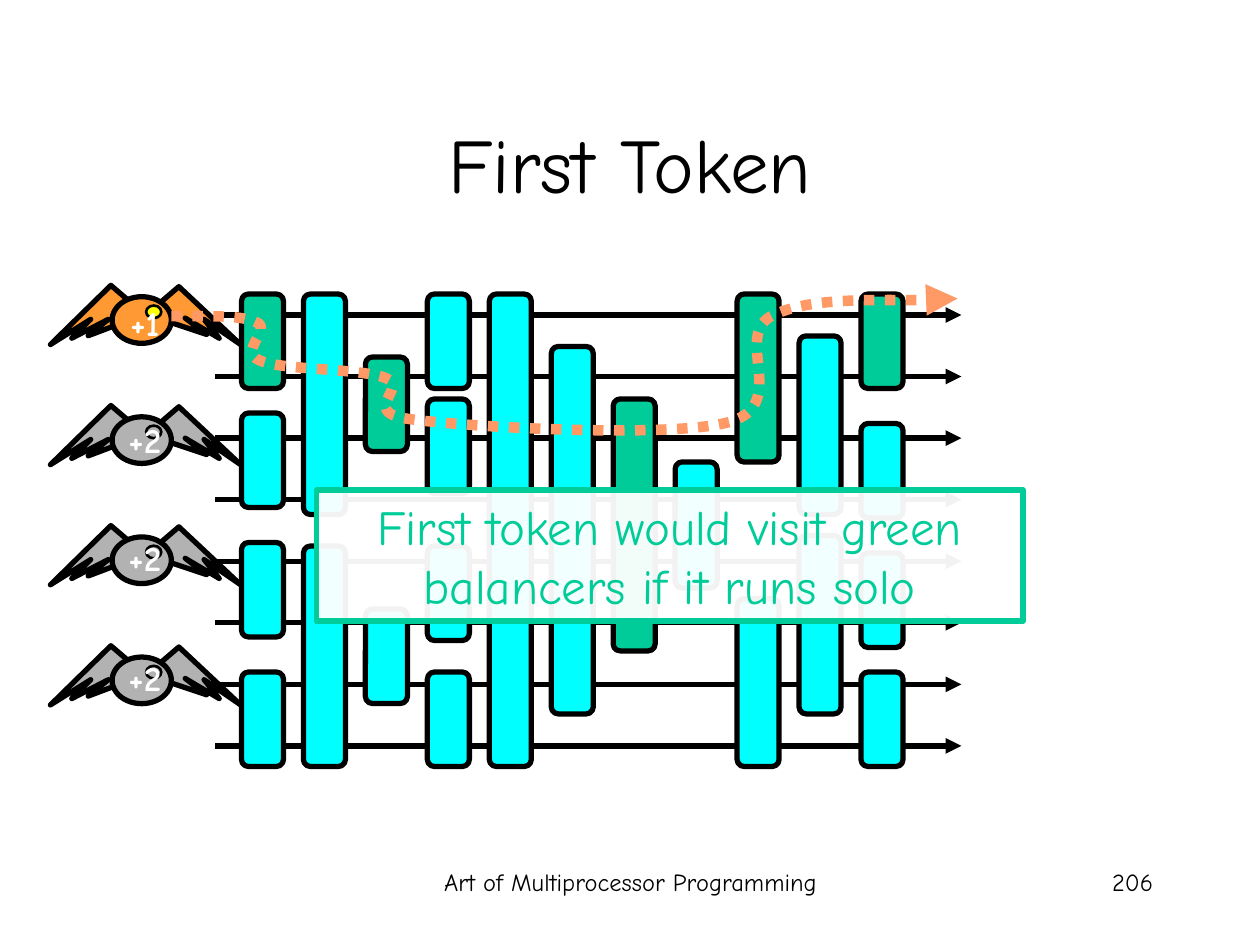
"""Builds the First Token slide: a balancing network, four tokens and a solo route."""
from dataclasses import dataclass
from typing import Optional

from lxml import etree
from pptx import Presentation, util as u
from pptx.dml.color import RGBColor
from pptx.enum import dml, shapes, text
from pptx.oxml import ns

BLACK = RGBColor(0, 0, 0)
WHITE = RGBColor(255, 255, 255)
CYAN = RGBColor(0x00, 0xFF, 0xFF)
GREEN = RGBColor(0x00, 0xCC, 0x99)
GREY = RGBColor(0xB2, 0xB2, 0xB2)
ORANGE = RGBColor(0xFF, 0x99, 0x33)
YELLOW = RGBColor(0xFF, 0xFF, 0x00)
CORAL = RGBColor(0xFF, 0x99, 0x66)
FONT = "Comic Neue"

LEFT, TOP = 23 / 12, 7 / 3
COL, ROW = 59 / 120, 1 / 36
BALANCER_W = 1 / 3
WIRES, WIRE_TOP, WIRE_GAP = 8, 2.5, 3.42 / 7
TOKEN_TOP, TOKEN_GAP = 2.265, 2.86 / 3

RIGHT_WING = [(121, 19), (142, 1), (191, 47), (162, 27), (174, 42), (147, 26), (164, 39), (116, 23)]
LEFT_WING = [(109, 18), (88, 0), (40, 47), (72, 27), (57, 42), (86, 27), (70, 40), (115, 23)]
ROUTE = [(136, 251), (164, 251), (193, 250), (204, 256), (216, 261), (189, 279), (206, 286),
         (222, 294), (285, 292), (306, 300), (326, 308), (282, 328), (328, 333), (373, 339),
         (532, 348), (579, 335), (627, 321), (582, 268), (612, 251), (643, 235), (729, 240), (760, 237)]


@dataclass
class Balancer:
    """A balancer by network column, top row and row count."""
    col: int
    row: int
    rows: int
    fill: RGBColor = CYAN


@dataclass
class Token:
    """A winged token with its label, the label's drop from the wing tip and its colours."""
    label: str
    drop: float
    body: RGBColor = GREY
    eye: RGBColor = GREY


BALANCERS = [
    Balancer(0, 0, 27, GREEN), Balancer(0, 34, 27), Balancer(0, 71, 27), Balancer(0, 108, 27),
    Balancer(1, 0, 63), Balancer(1, 72, 63),
    Balancer(2, 18, 27, GREEN), Balancer(2, 90, 27),
    Balancer(3, 0, 27), Balancer(3, 30, 27), Balancer(3, 72, 27), Balancer(3, 108, 27),
    Balancer(4, 0, 135), Balancer(5, 15, 105), Balancer(6, 30, 72, GREEN), Balancer(7, 48, 36),
    Balancer(8, 0, 48, GREEN), Balancer(8, 87, 48),
    Balancer(9, 12, 51), Balancer(9, 69, 51),
    Balancer(10, 0, 27, GREEN), Balancer(10, 37, 27), Balancer(10, 74, 27), Balancer(10, 108, 27),
]
TOKENS = [Token("+1", 0.08, ORANGE, YELLOW), Token("+2", 0.05), Token("+2", 0.04), Token("+2", 0.04)]


def paint(sp, fill: Optional[RGBColor], line: RGBColor = BLACK, width: float = 3) -> None:
    """Set a shape's fill and outline and drop its shadow."""
    sp.shadow.inherit = False
    if fill is None:
        sp.fill.background()
    else:
        sp.fill.solid()
        sp.fill.fore_color.rgb = fill
    sp.line.color.rgb = line
    sp.line.width = u.Pt(width)


def add_arrowhead(sp) -> None:
    """Put a triangle at the far end of a line."""
    ln = sp._element.spPr.find(ns.qn("a:ln"))
    etree.SubElement(ln, ns.qn("a:tailEnd"), type="triangle")


def add_preset(parent, kind, x: float, y: float, w: float, h: float, fill: RGBColor, **line):
    """Add a painted preset shape, measured in inches."""
    sp = parent.add_shape(kind, u.Inches(x), u.Inches(y), u.Inches(w), u.Inches(h))
    paint(sp, fill, **line)
    return sp


def add_outline(parent, points: list, top: float = 0, close: bool = True):
    """Add a freeform from points in hundredths of an inch."""
    builder = parent.build_freeform(*points[0], scale=u.Inches(0.01))
    builder.add_line_segments(points[1:], close=close)
    return builder.convert_to_shape(0, u.Inches(top))


def write(tf, words: str, size: float, color: RGBColor, align, bold: Optional[bool] = None) -> None:
    """Write one run into the first paragraph of a frame."""
    p = tf.paragraphs[0]
    p.alignment = align
    r = p.add_run()
    r.text = words
    r.font.name, r.font.size, r.font.bold = FONT, u.Pt(size), bold
    r.font.color.rgb = color


def add_label(s, x: float, y: float, w: float, h: float, words: str, size: float,
              color: RGBColor = BLACK, align=text.PP_ALIGN.CENTER, bold: Optional[bool] = None):
    """Add a wrapped text box, measured in inches, and return its frame."""
    tf = s.shapes.add_textbox(u.Inches(x), u.Inches(y), u.Inches(w), u.Inches(h)).text_frame
    tf.word_wrap = True
    write(tf, words, size, color, align, bold)
    return tf


def draw_wire(s, y: float) -> None:
    """Draw one arrowed wire across the network."""
    wire = s.shapes.add_connector(shapes.MSO_CONNECTOR.STRAIGHT, u.Inches(1.71), u.Inches(y),
                                  u.Inches(7.63), u.Inches(y))
    wire.line.color.rgb = BLACK
    wire.line.width = u.Pt(3)
    add_arrowhead(wire)
    etree.SubElement(wire._element.spPr, ns.qn("a:effectLst"))


def draw_balancer(s, b: Balancer) -> None:
    """Draw one balancer on the network grid."""
    sp = add_preset(s.shapes, shapes.MSO_SHAPE.ROUNDED_RECTANGLE, LEFT + b.col * COL,
                    TOP + b.row * ROW, BALANCER_W, b.rows * ROW, b.fill)
    sp.adjustments[0] = 0.17


def draw_token(s, token: Token, top: float) -> None:
    """Draw one token: grouped wings, body and eye, then its label."""
    parts = s.shapes.add_group_shape().shapes
    for wing in (RIGHT_WING, LEFT_WING):
        paint(add_outline(parts, wing, top), token.body)
    oval = shapes.MSO_SHAPE.OVAL
    add_preset(parts, oval, 0.89, top + 0.09, 0.47, 0.37, token.body)
    add_preset(parts, oval, 1.16, top + 0.16, 0.12, 0.1, token.eye, width=1.5)
    tf = add_label(s, 0.92, top + token.drop, 0.46, 0.44, token.label, 20, WHITE, bold=True)
    tf.margin_left = tf.margin_right = 0
    tf.word_wrap = False
    tf.auto_size = text.MSO_AUTO_SIZE.SHAPE_TO_FIT_TEXT


def draw_route(s) -> None:
    """Draw the dotted route as a chain of Bezier curves."""
    sp = add_outline(s.shapes, ROUTE, close=False)
    paint(sp, None, CORAL, 6)
    sp.line.dash_style = dml.MSO_LINE.ROUND_DOT
    add_arrowhead(sp)
    outline = sp._element.find(".//" + ns.qn("a:path"))
    steps = outline.findall(ns.qn("a:lnTo"))
    for i in range(0, len(steps), 3):
        curve = etree.SubElement(outline, ns.qn("a:cubicBezTo"))
        for step in steps[i:i + 3]:
            curve.append(step[0])
            outline.remove(step)


def draw_callout(s) -> None:
    """Draw the nearly opaque message box."""
    sp = add_preset(s.shapes, shapes.MSO_SHAPE.RECTANGLE, 2.51, 3.89, 5.61, 1.04, WHITE, line=GREEN)
    color = sp._element.spPr.find(ns.qn("a:solidFill"))[0]
    etree.SubElement(color, ns.qn("a:alpha"), val="95000")
    tf = sp.text_frame
    tf.word_wrap = True
    tf.auto_size = text.MSO_AUTO_SIZE.SHAPE_TO_FIT_TEXT
    tf.vertical_anchor = text.MSO_ANCHOR.TOP
    write(tf, "First token would visit green balancers if it runs solo", 28, GREEN, text.PP_ALIGN.CENTER)


def main() -> None:
    """Build and save the slide."""
    prs = Presentation()
    prs.slide_width, prs.slide_height = u.Inches(10), u.Inches(7.5)
    s = prs.slides.add_slide(prs.slide_layouts[5])
    title = s.shapes.title
    title.left, title.top, title.width, title.height = map(u.Inches, (0.75, 0.67, 8.5, 1.25))
    title.text_frame.vertical_anchor = text.MSO_ANCHOR.MIDDLE
    write(title.text_frame, "First Token", 44, BLACK, text.PP_ALIGN.CENTER)
    for i in range(WIRES):
        draw_wire(s, WIRE_TOP + i * WIRE_GAP)
    for b in BALANCERS:
        draw_balancer(s, b)
    for i, token in enumerate(TOKENS):
        draw_token(s, token, TOKEN_TOP + i * TOKEN_GAP)
    draw_route(s)
    draw_callout(s)
    add_label(s, 3.42, 6.83, 3.17, 0.5, "Art of Multiprocessor Programming", 14)
    add_label(s, 7.17, 6.83, 2.08, 0.5, "206", 14, align=text.PP_ALIGN.RIGHT)
    prs.save("out.pptx")


if __name__ == "__main__":
    main()
